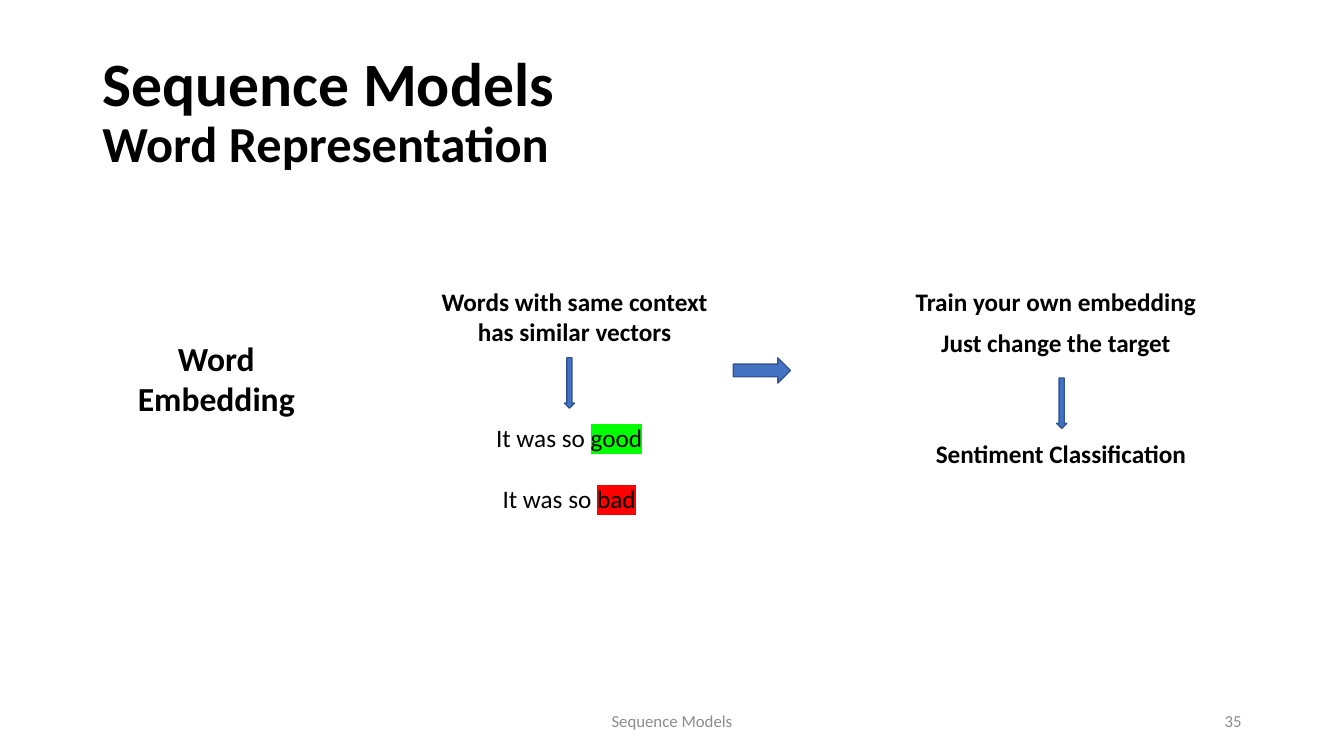
from lxml import etree
from pptx import Presentation
from pptx.dml.color import RGBColor
from pptx.enum.shapes import MSO_SHAPE
from pptx.enum.text import MSO_ANCHOR, PP_ALIGN
from pptx.oxml.ns import qn
from pptx.util import Inches, Pt

LEFT, CENTER, RIGHT = PP_ALIGN.LEFT, PP_ALIGN.CENTER, PP_ALIGN.RIGHT
TOP, MIDDLE = MSO_ANCHOR.TOP, MSO_ANCHOR.MIDDLE
DOWN_ARROW = MSO_SHAPE.DOWN_ARROW
COLORS = {"ink": "000000", "muted": "8C8C8C", "arrow": "4472C4",
          "edge": "325491", "good": "00FF00", "bad": "FF0000"}

deck = Presentation()
deck.slide_width, deck.slide_height = Inches(13.33), Inches(7.5)
COL, ROW = deck.slide_width / 160, deck.slide_height / 90
slide = deck.slides.add_slide(deck.slide_layouts[6])


def grid(left, top, width, height):
    return int(left * COL), int(top * ROW), int(width * COL), int(height * ROW)


def add_text(place, lines, align=CENTER, anchor=TOP, color="ink", bold=True, **paragraph_format):
    frame = slide.shapes.add_textbox(*grid(*place)).text_frame
    frame.word_wrap = True
    frame.vertical_anchor = anchor
    for number, (size, *pieces) in enumerate(lines):
        paragraph = frame.paragraphs[0] if number == 0 else frame.add_paragraph()
        paragraph.alignment = align
        for name, value in paragraph_format.items():
            if number or name != "space_before":
                setattr(paragraph, name, value)
        for words in pieces:
            run = paragraph.add_run()
            run.text = words
            for name, value in {"name": "Calibri", "size": Pt(size), "bold": bold}.items():
                setattr(run.font, name, value)
            run.font.color.rgb = RGBColor.from_string(COLORS[color])
            if words in COLORS:
                highlight = etree.Element(qn("a:highlight"))
                etree.SubElement(highlight, qn("a:srgbClr"), val=COLORS[words])
                run.font.fill._xPr.find(qn("a:solidFill")).addnext(highlight)


add_text((11, 4.8, 138, 17.4), [(44, "Sequence Models"), (36, "Word Representation")],
         align=LEFT, anchor=MIDDLE, line_spacing=0.9)
add_text((11, 39.6, 29.5, 10.9), [(24, "Word Embedding")])

statements = [
    ((49.5, 33.5, 37.8, 8.5), "Words with same context has similar vectors"),
    ((106.8, 33.5, 37.8, 4.8), "Train your own embedding"),
    ((106.8, 38.4, 37.8, 4.8), "Just change the target"),
    ((107.4, 51.6, 37.8, 4.8), "Sentiment Classification"),
]
for place, statement in statements:
    add_text(place, [(18, statement)])

add_text((53, 49.7, 29.5, 12.1), [(18, "It was so ", "good"), (18, "It was so ", "bad")],
         bold=False, space_before=Pt(22))

arrows = [((67.2, 42.6, 1.2, 6), 0), ((89.2, 40.7, 3, 6.8), 270), ((125.8, 45, 1.2, 6), 0)]
for place, rotation in arrows:
    arrow = slide.shapes.add_shape(DOWN_ARROW, *grid(*place))
    arrow.rotation = rotation
    arrow.shadow.inherit = False
    arrow.fill.solid()
    arrow.fill.fore_color.rgb = RGBColor.from_string(COLORS["arrow"])
    arrow.line.color.rgb = RGBColor.from_string(COLORS["edge"])
    arrow.line.width = Pt(1)

footers = [((53, 83.4, 54, 4.8), "Sequence Models", CENTER), ((113, 83.4, 36, 4.8), "35", RIGHT)]
for place, footer, align in footers:
    add_text(place, [(12, footer)], align=align, anchor=MIDDLE, color="muted", bold=False)

deck.save("out.pptx")
